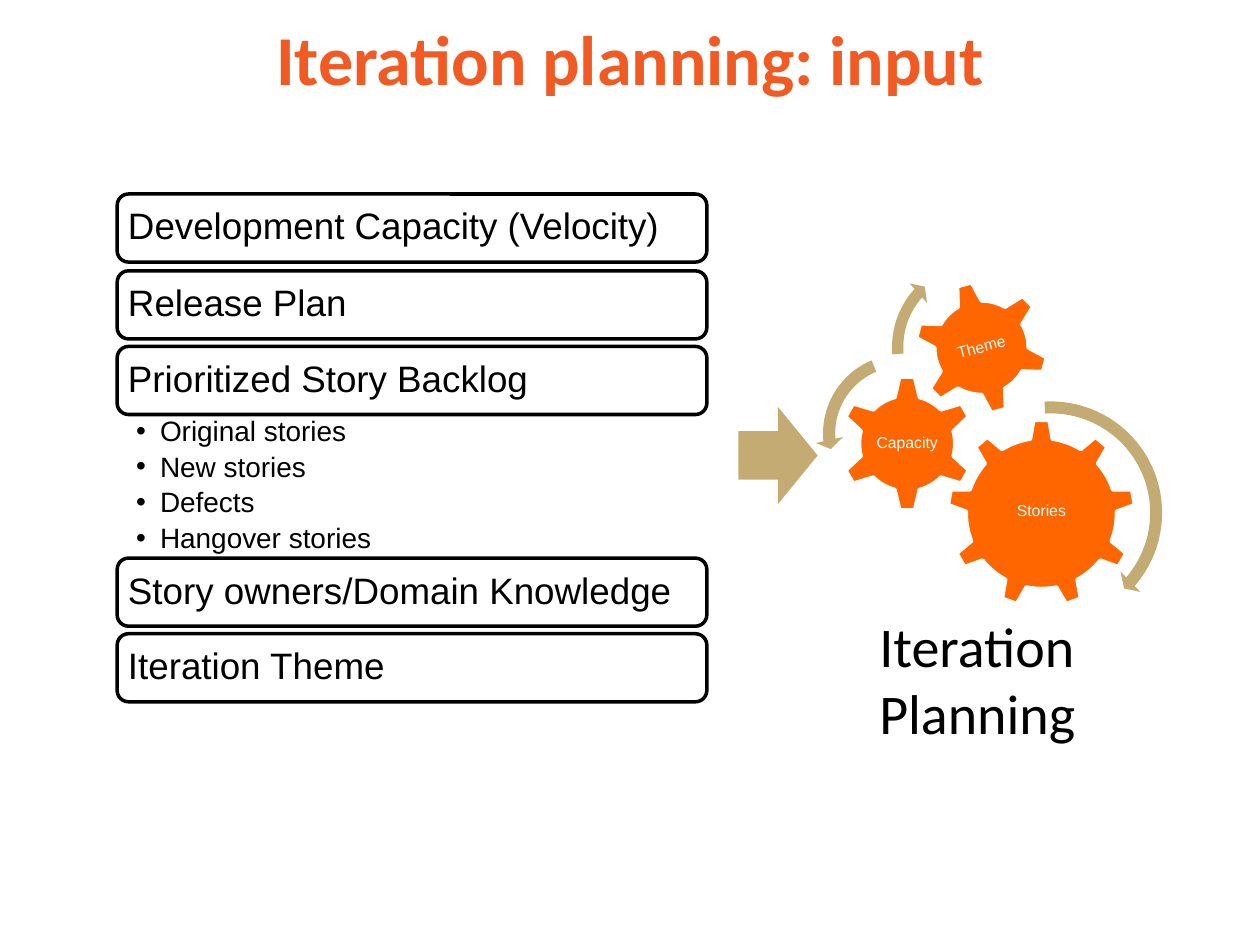
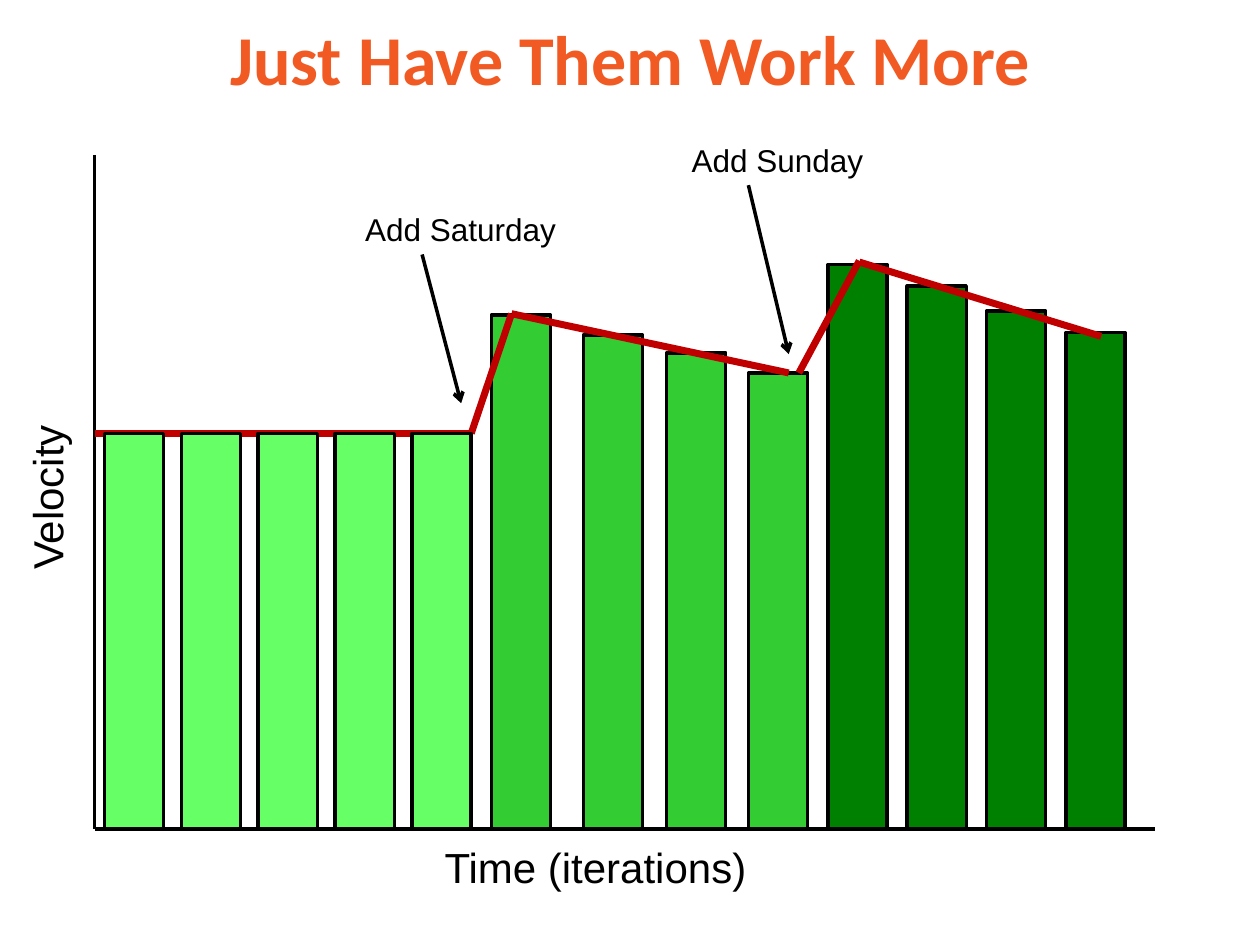
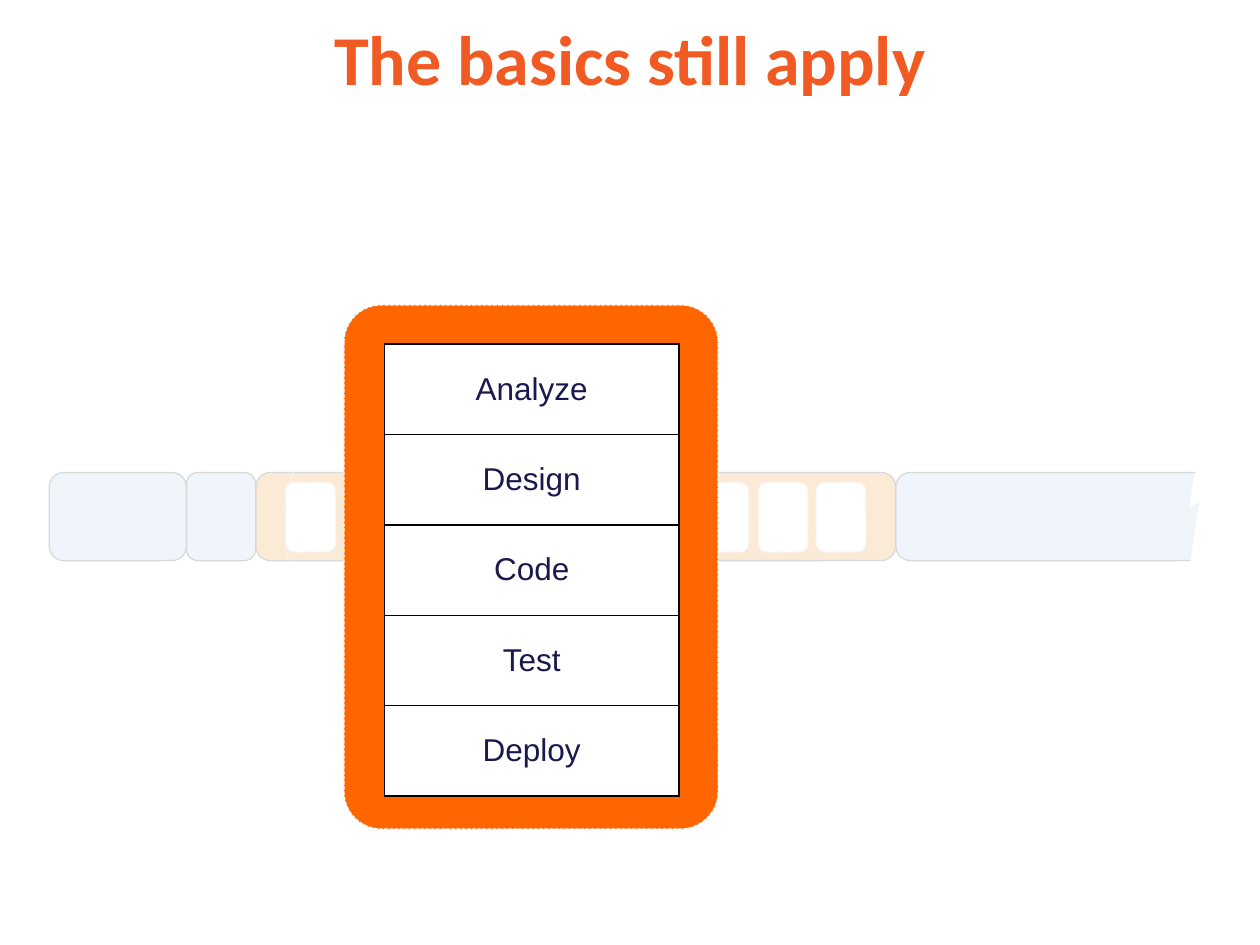
from lxml.etree import SubElement
from pptx import Presentation
from pptx.dml.color import RGBColor as RGB
from pptx.enum.dml import MSO_LINE_DASH_STYLE as DASH
from pptx.enum.shapes import MSO_CONNECTOR as LINK, MSO_SHAPE as KIND
from pptx.enum.text import MSO_ANCHOR as ANCHOR, PP_ALIGN as ALIGN
from pptx.oxml.ns import qn
from pptx.util import Inches, Pt

HUES = {
    "title": "F15A22", "orange": "FF6600", "sand": "C4AB73",
    "black": "000000", "white": "FFFFFF", "navy": "19194D",
    "light": "66FF66", "mid": "33CC33", "dark": "008000", "red": "C00000",
    "blue": "C6D9F1", "peach": "F1AC5E", "rim": "D9D9D9", "pale": "F9F9F9",
}
SIDES = ("margin_left", "margin_top", "margin_right", "margin_bottom")
MID = {"vertical_anchor": ANCHOR.MIDDLE, "word_wrap": True}
HEAD = dict.fromkeys(SIDES, Inches(0.03)) | MID
TIGHT = dict.fromkeys(SIDES, Inches(0.01)) | MID
LIST = dict(zip(SIDES, map(Inches, (0.15, 0.03, 0.16, 0.03)))) | {
    "vertical_anchor": ANCHOR.TOP}
PACK = {"line_spacing": 0.9}
ROW = {"space_before": Pt(0), "space_after": Pt(3.2), "line_spacing": 0.9}
CENTER = {"alignment": ALIGN.CENTER}

LOOKS = {
    "title": (HEAD, CENTER, "title", {"name": "Calibri", "size": Pt(40), "bold": True}),
    "box": (MID | {"margin_left": Inches(0.06)}, PACK | {"alignment": ALIGN.LEFT},
            "black", {"name": "Arial", "size": Pt(21)}),
    "list": (LIST, ROW, "black", {"name": "Arial", "size": Pt(16)}),
    "gear": (TIGHT, PACK | CENTER, "white", {"name": "Arial", "size": Pt(9)}),
    "goal": ({"word_wrap": False}, {}, "black", {"name": "Calibri", "size": Pt(32)}),
    "axis": ({"word_wrap": True}, {}, "black", {"name": "Arial", "size": Pt(24)}),
    "note": ({"word_wrap": True}, {}, "black", {"name": "Arial", "size": Pt(18)}),
    "cell": ({}, CENTER, "navy", {"name": "Arial", "size": Pt(18)}),
}


def draw(page, kind, place, fill, line=None, wide=2, dash=None, alpha=None):
    item = page.shapes.add_shape(kind, *map(Inches, place))
    item.shadow.inherit = False
    item.fill.solid()
    item.fill.fore_color.rgb = RGB.from_string(HUES[fill])
    if alpha:
        tint = item._element.spPr.find(qn("a:solidFill"))[0]
        SubElement(tint, qn("a:alpha"), val=str(alpha * 1000))
    if line:
        item.line.color.rgb = RGB.from_string(HUES[line])
        item.line.width = Pt(wide)
        item.line.dash_style = dash
    else:
        item.line.fill.background()
    return item


def join(page, ends, hue, wide=2, dash=None, tip=False):
    item = page.shapes.add_connector(LINK.STRAIGHT, *map(Inches, ends))
    item.line.color.rgb = RGB.from_string(HUES[hue])
    item.line.width = Pt(wide)
    item.line.dash_style = dash
    if tip:
        SubElement(item.line._get_or_add_ln(), qn("a:tailEnd"), type="arrow")
    SubElement(item._element.spPr, qn("a:effectLst"))


deck = Presentation()
deck.slide_width, deck.slide_height = Inches(10), Inches(7.5)
texts = []
pages = []
for name, form in (("Iteration planning: input", 1),
                   ("Just Have Them Work More", 5),
                   ("The basics still apply", 5)):
    page = deck.slides.add_slide(deck.slide_layouts[form])
    title = page.shapes.title
    title.left, title.top, title.width, title.height = map(Inches, (0.4, 0, 9.2, 0.92))
    texts.append((title.text_frame, name, "title"))
    pages.append(page)
plan, work, base = pages

body = plan.placeholders[1]
body.left, body.top, body.width, body.height = map(Inches, (0.93, 3.28, 4.68, 1.14))
texts.append((body.text_frame,
              "Original stories\nNew stories\nDefects\nHangover stories", "list"))
for top, word in ((1.54, "Development Capacity (Velocity)"), (2.15, "Release Plan"),
                  (2.75, "Prioritized Story Backlog"),
                  (4.43, "Story owners/Domain Knowledge"), (5.03, "Iteration Theme")):
    box = draw(plan, KIND.ROUNDED_RECTANGLE, (0.93, top, 4.68, 0.54), "white", "black")
    texts.append((box.text_frame, word, "box"))

for word, kind, left, top, size, turn in (
        ("Stories", KIND.GEAR_9, 7.52, 3.33, 1.49, 0),
        ("Capacity", KIND.GEAR_6, 6.66, 2.98, 1.08, 0),
        ("Theme", KIND.GEAR_6, 7.26, 2.23, 1.06, 345)):
    gear = draw(plan, kind, (left, top, size, size), "orange", "white")
    gear.rotation = turn
    texts.append((gear.text_frame, word, "gear"))

for kind, left, top, size, bends in (
        (KIND.CIRCULAR_ARROW, 7.39, 3.12, 1.9, (0.05, 2.99, 24.53, 160.05, 0.06)),
        (KIND.LEFT_CIRCULAR_ARROW, 6.47, 2.75, 1.38, (0.07, 4.3, 104.89, 148.38, 0.08)),
        (KIND.CIRCULAR_ARROW, 7.02, 2.01, 1.49, (0.06, 3.94, 133.14, 105.08, 0.07))):
    arc = draw(plan, kind, (left, top, size, size), "sand")
    for spot, bend in enumerate(bends):
        arc.adjustments[spot] = bend
draw(plan, KIND.RIGHT_ARROW, (5.86, 3.23, 0.63, 0.77), "sand")

FLOOR = 6.58
for hue, bars in (
        ("mid", ((3.9, 2.5), (4.63, 2.66), (5.29, 2.8), (5.94, 2.96))),
        ("dark", ((6.57, 2.1), (7.2, 2.27), (7.83, 2.47), (8.46, 2.64)))):
    for left, top in bars:
        draw(work, KIND.RECTANGLE, (left, top, 0.47, FLOOR - top), hue, "black")
for ends in ((0.75, 1.23, 0.75, FLOOR), (0.75, FLOOR, 9.17, FLOOR)):
    join(work, ends, "black")
for ends in ((0.75, 3.44, 3.74, 3.44), (3.74, 3.44, 4.06, 2.49),
             (4.06, 2.49, 6.26, 2.96), (6.34, 2.96, 6.82, 2.07),
             (6.82, 2.08, 8.74, 2.67)):
    join(work, ends, "red", 4)
for step in range(5):
    draw(work, KIND.RECTANGLE, (0.83 + 0.61 * step, 3.44, 0.47, FLOOR - 3.44),
         "light", "black")
for ends in ((3.35, 2.02, 3.66, 3.2), (5.94, 1.47, 6.26, 2.81)):
    join(work, ends, "black", tip=True)

for page, word, look, place, turn in (
        (plan, "Iteration\nPlanning", "goal", (6.88, 4.8, 1.78, 1.18), 0),
        (work, "Velocity", "axis", (-0.38, 3.62, 1.5, 0.5), 270),
        (work, "Time (iterations)", "axis", (3.43, 6.63, 2.76, 0.5), 0),
        (work, "Add Saturday", "note", (2.8, 1.62, 1.81, 0.4), 0),
        (work, "Add Sunday", "note", (5.39, 1.07, 1.81, 0.4), 0)):
    label = page.shapes.add_textbox(*map(Inches, place))
    label.rotation = turn
    texts.append((label.text_frame, word, look))

for left, wide, hue in ((7.11, 2.56, "blue"), (0.39, 1.09, "blue"),
                        (1.48, 0.55, "blue"), (2.03, 5.08, "peach")):
    draw(base, KIND.ROUNDED_RECTANGLE, (left, 3.75, wide, 0.7), hue, "rim", 0.75, alpha=25)

edge = base.shapes.build_freeform(Inches(9.54), Inches(3.56))
edge.add_line_segments([(Inches(x), Inches(y)) for x, y in (
    (9.5, 3.7), (9.46, 3.88), (9.44, 4.03), (9.52, 3.98), (9.42, 4.63),
    (9.79, 4.64), (9.82, 4.1), (9.86, 3.72), (9.77, 3.54))], close=True)
tear = edge.convert_to_shape()
tear.shadow.inherit = False
tear.fill.solid()
tear.fill.fore_color.rgb = RGB.from_string(HUES["white"])
tear.line.fill.background()

for left in (2.27, 2.73, 5.55, 6.02, 6.48):
    draw(base, KIND.ROUNDED_RECTANGLE, (left, 3.83, 0.39, 0.55),
         "white", "pale", 0.75, DASH.SQUARE_DOT)
for ends in ((2.27, 3.91, 2.73, 2.73), (2.27, 4.38, 2.81, 6.48)):
    join(base, ends, "white", 0.25, DASH.SQUARE_DOT)
panel = draw(base, KIND.ROUNDED_RECTANGLE, (2.73, 2.42, 2.97, 4.16),
             "orange", "pale", 0.75, DASH.SQUARE_DOT)
panel.adjustments[0] = 0.1

steps = ("Analyze", "Design", "Code", "Test", "Deploy")
grid = base.shapes.add_table(len(steps), 1, *map(Inches, (3.05, 2.73, 2.34, 3.59))).table
grid.first_row = grid.horz_banding = False
for row, word in enumerate(steps):
    cell = grid.cell(row, 0)
    cell.vertical_anchor = ANCHOR.MIDDLE
    for side in ("lnL", "lnR", "lnT", "lnB"):
        rule = SubElement(cell._tc.get_or_add_tcPr(), qn("a:" + side), w=str(Pt(1)))
        ink = SubElement(rule, qn("a:solidFill"))
        SubElement(ink, qn("a:srgbClr"), val=HUES["black"])
    cell.fill.solid()
    cell.fill.fore_color.rgb = RGB.from_string(HUES["white"])
    texts.append((cell.text_frame, word, "cell"))

for frame, words, look in texts:
    fit, flow, hue, face = LOOKS[look]
    frame.text = words
    for key, value in fit.items():
        setattr(frame, key, value)
    for para in frame.paragraphs:
        if look == "list":
            props = para._p.get_or_add_pPr()
            props.set("marL", str(Inches(0.19)))
            props.set("indent", str(Inches(-0.19)))
            SubElement(props, qn("a:buChar"), char="•")
        for key, value in flow.items():
            setattr(para, key, value)
        for key, value in face.items():
            setattr(para.font, key, value)
        para.font.color.rgb = RGB.from_string(HUES[hue])

deck.save("out.pptx")
